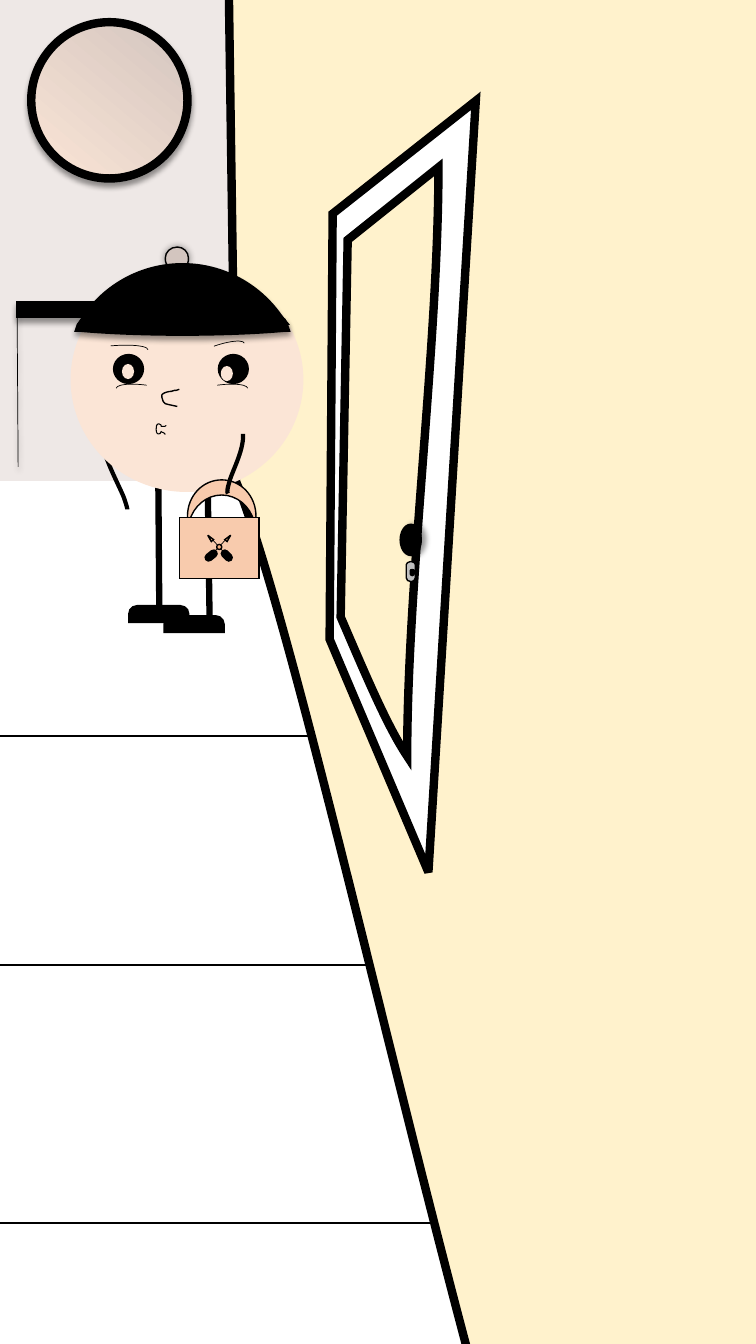
from math import cos, sin, radians
from lxml.etree import SubElement
from pptx import Presentation
from pptx.dml.color import RGBColor as Rgb
from pptx.enum.shapes import MSO_CONNECTOR as Link, MSO_SHAPE as Kind
from pptx.oxml.ns import qn
from pptx.util import Cm, Pt

INK = {
    "black": "000000", "white": "FFFFFF", "stone": "EEE8E6", "cream": "FFF2CC",
    "taupe": "D3C5BF", "skin": "FBE5D6", "grey": "BFBFBF", "peach": "F8CBAD",
    "rust": "F4B183",
}
TAGS = {"M": "a:moveTo", "L": "a:lnTo", "C": "a:cubicBezTo", "Z": "a:close"}
DROP = (4, 3, 90)
STEPS = 12


def inch(size):
    return Cm(size * 2.54)


def curve(a, b, c, d):
    for step in range(1, STEPS + 1):
        t = step / STEPS
        u = 1 - t
        yield tuple(u**3 * p + 3 * u * u * t * q + 3 * u * t * t * r + t**3 * s
                    for p, q, r, s in zip(a, b, c, d))


def trace(text, mid, angle):
    for mark in TAGS:
        text = text.replace(mark, "|" + mark)
    for part in text.split("|")[1:]:
        nums = list(map(float, part[1:].split()))
        yield part[0], [turn(dot, mid, angle) for dot in zip(nums[::2], nums[1::2])]


def turn(dot, mid, angle):
    x, y = dot[0] - mid[0], dot[1] - mid[1]
    c, s = cos(radians(angle)), sin(radians(angle))
    return inch(mid[0] + x * c - y * s), inch(mid[1] + x * s + y * c)


class Scene:
    def __init__(self, deck):
        self.slide = deck.slides.add_slide(deck.slide_layouts[6])
        self.pen = self.slide.shapes

    def group(self):
        self.pen = self.slide.shapes.add_group_shape().shapes

    def loose(self):
        self.pen = self.slide.shapes

    def shade(self, item, shadow):
        if not shadow:
            return
        blur, dist, angle = shadow
        glow = SubElement(item._element.spPr.find(qn("a:effectLst")), qn("a:outerShdw"),
                          blurRad=str(Pt(blur)), dist=str(Pt(dist)),
                          dir=str(angle * 60000), algn="ctr", rotWithShape="0")
        tone = SubElement(glow, qn("a:srgbClr"), val=INK["black"])
        SubElement(tone, qn("a:alpha"), val="40000")

    def stroke(self, line, width, sharp=True):
        line.color.rgb = Rgb.from_string(INK["black"])
        line.width = Pt(width)
        if sharp:
            SubElement(line._get_or_add_ln(), qn("a:miter"), lim="800000")
        else:
            SubElement(line._get_or_add_ln(), qn("a:round"))

    def style(self, item, fill, width, shadow):
        if isinstance(fill, tuple):
            item.fill.gradient()
            item.fill.gradient_angle = 230
            for stop, tone, place in zip(item.fill.gradient_stops, fill, (0, 1)):
                stop.color.rgb = Rgb.from_string(INK[tone])
                stop.position = place
        elif fill:
            item.fill.solid()
            item.fill.fore_color.rgb = Rgb.from_string(INK[fill])
        else:
            item.fill.background()
        if width:
            self.stroke(item.line, width, bool(fill))
        else:
            item.line.fill.background()
        item.shadow.inherit = False
        self.shade(item, shadow)

    def shape(self, kind, box, fill=None, width=0, shadow=None, angle=0, adjust=(), flip=False):
        item = self.pen.add_shape(kind, *map(inch, box))
        for spot, value in enumerate(adjust):
            item.adjustments[spot] = value
        item.rotation = angle
        if flip:
            item._element.spPr.xfrm.set("flipH", "1")
        self.style(item, fill, width, shadow)

    def free(self, text, fill=None, width=0, shadow=None, angle=0, mid=(0, 0)):
        moves = list(trace(text, mid, -angle))
        form = self.pen.build_freeform(*moves[0][1][0], scale=1.0)
        last = moves[0][1][0]
        for mark, dots in moves[1:]:
            if dots:
                form.add_line_segments(curve(last, *dots) if mark == "C" else dots, close=False)
                last = dots[-1]
        item = form.convert_to_shape()
        track = next(item._element.iter(qn("a:path")))
        for node in list(track):
            track.remove(node)
        for mark, dots in moves:
            node = SubElement(track, qn(TAGS[mark]))
            for x, y in dots:
                SubElement(node, qn("a:pt"), x=str(x - item.left), y=str(y - item.top))
        item.rotation = angle
        self.style(item, fill, width, shadow)

    def line(self, start, end, width, shadow=None, blunt=False):
        item = self.pen.add_connector(Link.STRAIGHT, *map(inch, start + end))
        self.stroke(item.line, width, not blunt)
        if blunt:
            item.line._get_or_add_ln().set("cap", "rnd")
        SubElement(item._element.spPr, qn("a:effectLst"))
        self.shade(item, shadow)


def room(art):
    art.group()
    for left, top, wide in ((-2.5, 4.74, 6.79), (-3.04, 7.3, 7.51),
                            (-3.41, 9.57, 8.65), (-4.17, 12.13, 9.75)):
        art.shape(Kind.RECTANGLE, (left, top, wide, 2.57), "white", 1)
    art.free("M-0.02 0 L2.54 0 L2.54 4.77 L-0.03 4.77 L-0.02 0 Z", "stone")
    art.free("M5.9 -1.41 L2.27 -0.1 L2.34 4.77 C3.16 6.8 4.97 15.83 5.92 17.2 "
             "C6.49 17.7 8.78 11.38 9.49 9.71 C10.19 8.04 9.33 2.16 9.36 0.53 "
             "C9.48 -1.28 6.48 -1.11 5.9 -1.41 Z", "cream", 6)
    art.shape(Kind.RECTANGLE, (0.17, 2.99, 1.84, 0.16), "black", 1, DROP)
    for start, end in (((0.17, 3.07), (0.18, 4.63)), ((1.99, 3.07), (1.97, 4.61))):
        art.line(start, end, 0.5, DROP)
    art.shape(Kind.OVAL, (0.31, 0.22, 1.55, 1.55), ("taupe", "skin"), 6, DROP)
    art.free("M1.76 2.45 C1.82 2.45 1.87 2.5 1.87 2.56 C1.87 2.6 1.86 2.63 1.84 2.65 "
             "L1.82 2.66 L1.86 2.69 C1.89 2.71 1.9 2.75 1.9 2.79 "
             "C1.9 2.87 1.84 2.94 1.76 2.94 C1.68 2.94 1.61 2.87 1.61 2.79 "
             "C1.61 2.75 1.63 2.71 1.65 2.69 L1.7 2.66 L1.68 2.65 "
             "C1.65 2.63 1.64 2.6 1.64 2.56 C1.64 2.5 1.69 2.45 1.76 2.45 Z",
             "taupe", 1, (5, 0, 0))
    art.free("M4.72 1 L3.3 2.12 L3.27 6.34 L4.25 8.65 L4.72 1 Z", "white", 6)
    art.free("M4.35 1.66 L3.45 2.38 L3.38 6.12 C3.63 6.7 3.84 7.2 4.04 7.5 "
             "C4.04 5.76 4.35 3.41 4.35 1.66 Z", "cream", 6)
    art.shape(Kind.OVAL, (3.97, 5.2, 0.21, 0.31), "black", 1, (4, 3, 0), flip=True)
    art.free("M4.09 5.65 C4.1 5.65 4.11 5.65 4.11 5.66 L4.11 5.69 "
             "C4.11 5.7 4.1 5.71 4.09 5.71 L4.09 5.71 C4.08 5.71 4.07 5.7 4.07 5.69 "
             "L4.07 5.66 C4.07 5.65 4.08 5.65 4.09 5.65 Z M4.08 5.57 L4.07 5.57 "
             "C4.05 5.57 4.03 5.59 4.03 5.6 L4.03 5.73 C4.03 5.75 4.05 5.77 4.08 5.77 "
             "C4.1 5.77 4.12 5.75 4.12 5.73 L4.12 5.6 C4.12 5.59 4.11 5.57 4.08 5.57 Z",
             "grey", 1)


def body(art):
    art.group()
    art.free("M1.3 4.07 C1.16 4.15 1.03 4.22 1.02 4.37 C1.01 4.51 1.19 4.83 1.23 4.94 "
             "C1.27 5.06 1.26 5.05 1.26 5.05 L1.26 5.05", width=3, angle=32.1, mid=(1.24, 4.53))
    art.line((1.57, 4.63), (1.58, 6), 4.5)
    art.line((2.06, 4.74), (2.08, 6.19), 4.5)
    art.shape(Kind.OVAL, (0.7, 2.65, 2.31, 2.23), "skin")
    for left, top in ((1.62, 6.1), (1.27, 6)):
        art.shape(Kind.ROUND_2_SAME_RECTANGLE, (left, top, 0.61, 0.18), "black", adjust=(0.5, 0))
    art.free("M1.78 3.86 C1.77 3.86 1.77 3.86 1.75 3.87 C1.74 3.87 1.72 3.87 1.7 3.88 "
             "C1.68 3.88 1.63 3.89 1.61 3.91 C1.6 3.92 1.61 3.96 1.62 3.98 "
             "C1.63 4 1.65 4.01 1.67 4.01 C1.7 4.02 1.73 4.02 1.76 4.03",
             width=1, angle=7, mid=(1.7, 3.94))
    art.shape(Kind.OVAL, (2.03, 3.67, 0.09, 0.12), "skin")
    art.free("M1.81 3.16 C1.41 3.16 1.06 3.17 0.85 3.19 L0.82 3.19 L0.79 3.23 L0.78 3.26 "
             "L0.79 3.26 C0.99 3.28 1.37 3.3 1.81 3.3 C2.25 3.3 2.63 3.28 2.83 3.26 "
             "L2.84 3.26 L2.83 3.23 L2.81 3.19 L2.77 3.19 C2.56 3.17 2.21 3.16 1.81 3.16 Z",
             "black", 4.5, DROP)
    art.free("M1.81 2.64 C1.41 2.64 1.06 2.84 0.85 3.14 L0.82 3.19 L0.85 3.19 "
             "C1.06 3.17 1.41 3.16 1.81 3.16 C2.21 3.16 2.56 3.17 2.77 3.19 L2.81 3.19 "
             "L2.77 3.14 C2.56 2.84 2.21 2.64 1.81 2.64 Z", "black", 4.5, DROP)
    art.free("M1.9 3.17 L1.92 3.21 L1.93 3.24 L1.97 3.23 C2.03 3.22 2.06 3.22 2.06 3.21 "
             "C2.06 3.19 2.01 3.18 1.92 3.17 L1.9 3.17 Z", "black")
    art.free("M2.29 3.12 L2.26 3.12 C2.17 3.13 2.12 3.14 2.12 3.15 "
             "C2.12 3.16 2.16 3.17 2.21 3.18 L2.25 3.18 L2.26 3.15 L2.29 3.12 Z", "black")
    art.free("M1.35 3.86 C1.39 3.86 1.43 3.83 1.46 3.78 L1.48 3.73 L1.19 3.74 L1.22 3.79 "
             "C1.25 3.84 1.3 3.86 1.35 3.86 Z", "skin", angle=177.2, mid=(1.34, 3.8))


def bag(art):
    art.group()
    art.free("M2.2 4.76 C2.39 4.76 2.54 4.92 2.54 5.12 C2.54 5.15 2.53 5.17 2.53 5.19 "
             "L2.53 5.2 L2.52 5.17 C2.48 5.02 2.35 4.91 2.2 4.91 C2.05 4.91 1.92 5.02 1.88 5.17 "
             "L1.87 5.2 L1.87 5.19 C1.87 5.17 1.86 5.15 1.86 5.12 "
             "C1.86 4.92 2.01 4.76 2.2 4.76 Z", "peach", 1)
    art.shape(Kind.RECTANGLE, (1.78, 5.13, 0.79, 0.61), "peach", 1)
    for tip, end, grip, left, angle in ((2.07, 2.27, 2.23, 2.07, 319.1),
                                        (2.28, 2.07, 2.12, 2.25, 40.9)):
        art.line((tip, 5.31), (end, 5.53), 0.5)
        art.shape(Kind.ISOSCELES_TRIANGLE, (left, 5.3, 0.03, 0.07), "rust", 1,
                  angle=angle, adjust=(0.48,), flip=angle < 90)
        art.line((grip, 5.49), (end, 5.53), 6, blunt=True)
    art.shape(Kind.OVAL, (2.15, 5.4, 0.05, 0.05), "rust", 1)
    art.loose()
    art.free("M2.41 4.3 C2.42 4.47 2.29 4.69 2.27 4.79 C2.24 4.89 2.26 4.89 2.26 4.89 "
             "L2.26 4.89", width=3, angle=319, mid=(2.33, 4.6))


def face(art):
    art.group()
    for left in (1.12, 2.16):
        art.shape(Kind.OVAL, (left, 3.51, 0.31, 0.3), "black")
    for left, top in ((1.21, 3.61), (2.19, 3.63)):
        art.shape(Kind.OVAL, (left, top, 0.12, 0.15), "skin")
    for left, top, wide, angle, flip in ((0.74, 3.43, 0.73, 355, False),
                                         (1.85, 3.43, 0.59, 340.9, False),
                                         (1.87, 3.82, 0.59, 352.4, False),
                                         (1.15, 3.82, 0.59, 7.6, True)):
        art.shape(Kind.ARC, (left, top, wide, 0.14), width=0.5, angle=angle, flip=flip)
    art.loose()
    art.free("M1.65 4.22 C1.64 4.23 1.63 4.23 1.63 4.23 C1.62 4.23 1.61 4.23 1.6 4.23 "
             "C1.6 4.22 1.6 4.21 1.59 4.21 C1.58 4.2 1.57 4.2 1.56 4.21 "
             "C1.55 4.21 1.55 4.24 1.55 4.26 C1.55 4.27 1.55 4.29 1.56 4.3 "
             "C1.57 4.31 1.58 4.3 1.59 4.3 C1.59 4.3 1.59 4.28 1.6 4.28 "
             "C1.6 4.28 1.6 4.29 1.62 4.29 C1.64 4.29 1.63 4.31 1.64 4.31 L1.64 4.31", width=0.75)


def main():
    deck = Presentation()
    deck.slide_width, deck.slide_height = inch(7.5), inch(13.33)
    art = Scene(deck)
    for draw in (room, body, bag, face):
        draw(art)
    deck.save("out.pptx")


if __name__ == "__main__":
    main()
